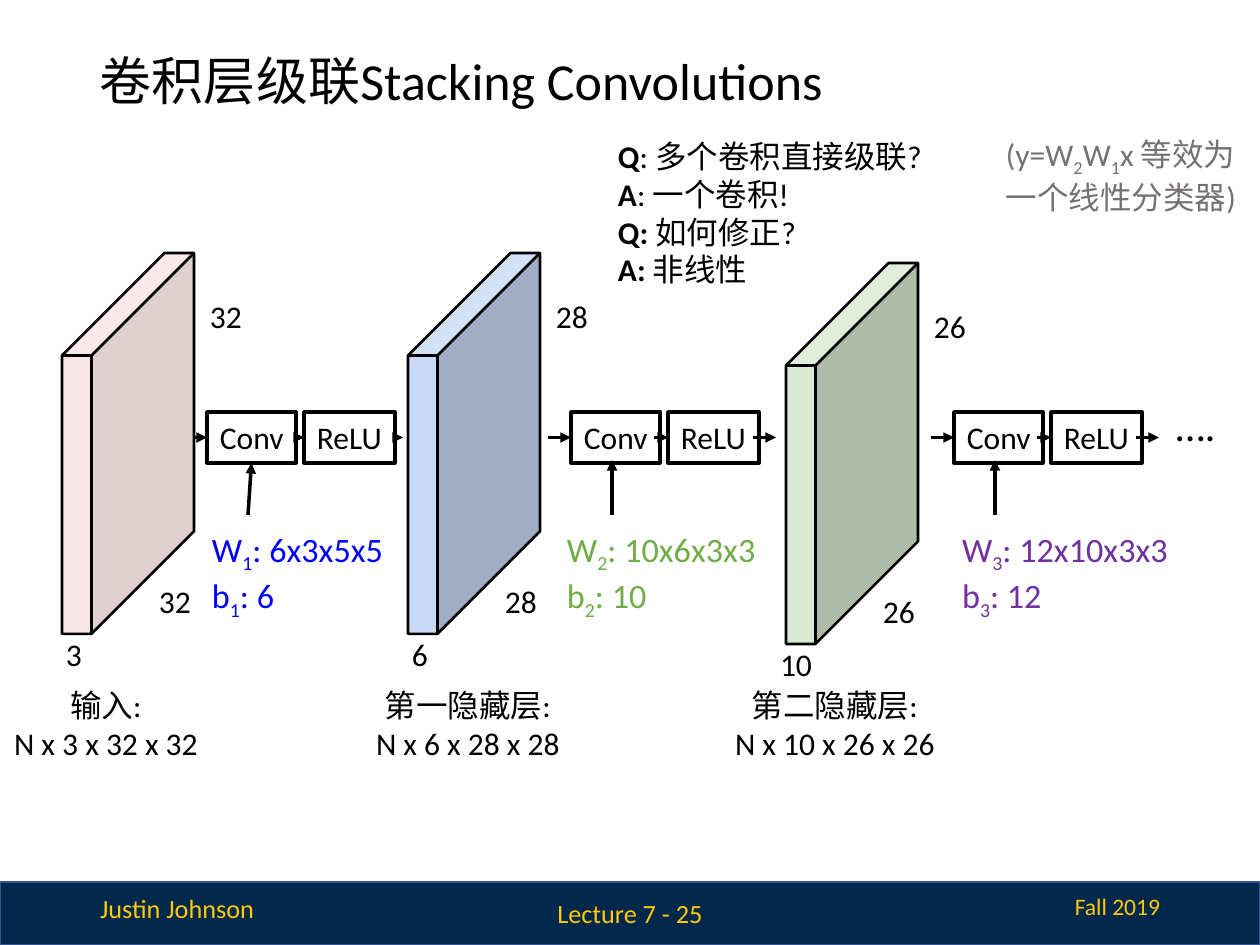
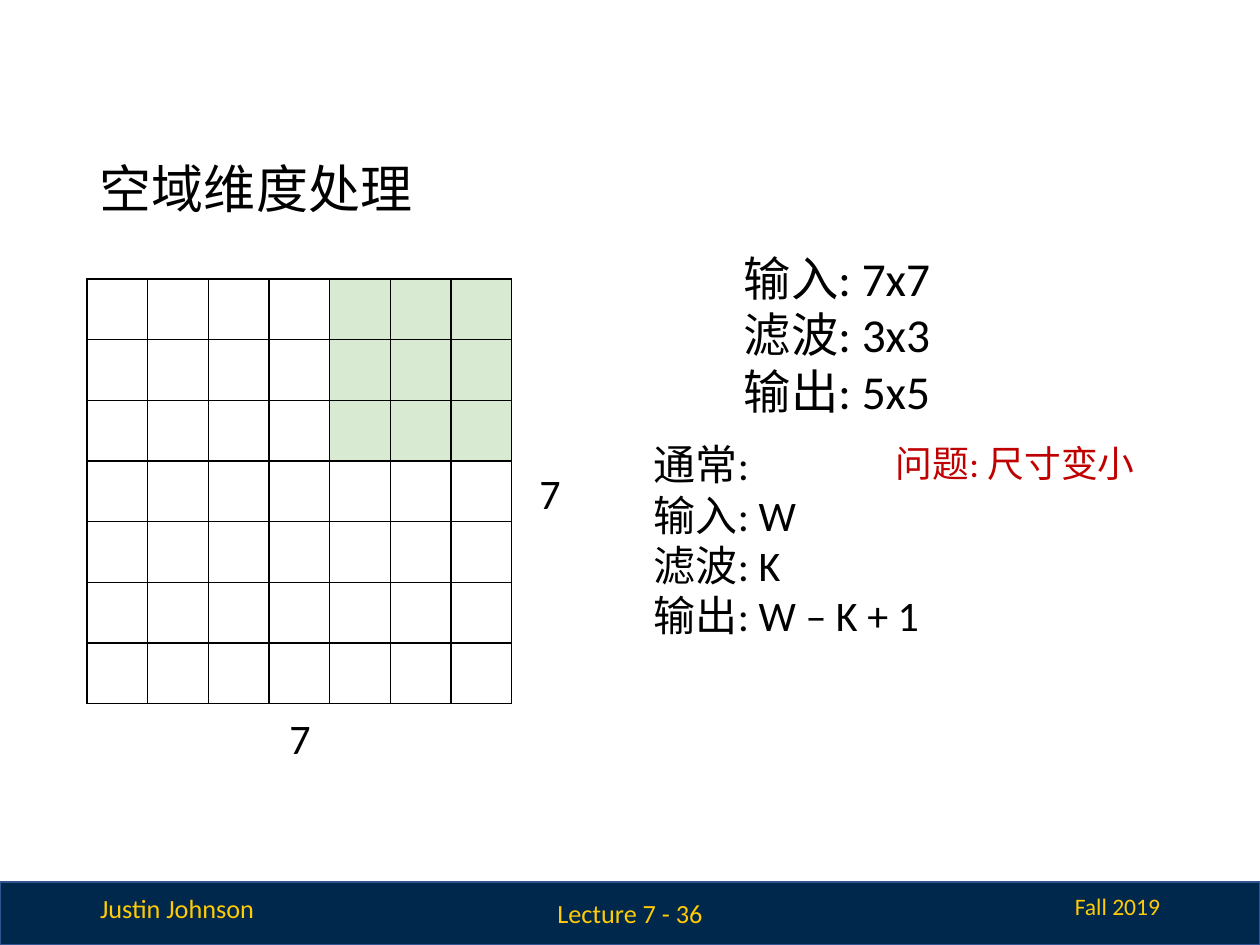
from lxml.etree import SubElement
from pptx import Presentation
from pptx.dml.color import RGBColor
from pptx.enum.shapes import MSO_CONNECTOR as LINE, MSO_SHAPE as SHAPE
from pptx.enum.text import MSO_ANCHOR as ANCHOR, PP_ALIGN as ALIGN
from pptx.oxml.ns import qn
from pptx.util import Emu, Pt

SCALE = 914400 / 126
FONT = "Calibri"
BLACK, NAVY, NAVY_EDGE, MAIZE = "000000", "00274C", "325491", "FFCB05"
PINK, BLUE, GREEN = "F4CCCC", "C9DAF8", "D9EAD3"
EVEN = (13, 13)
FLAT = (13, 6)


def px(n):
    """Turn px into EMU."""
    return Emu(round(n * SCALE))


def rgb(color):
    """Turn a hex string into a colour."""
    return RGBColor.from_string(color)


def add_runs(p, text):
    """Fill a paragraph, with *bold* and ~subscript~ marks."""
    for i, piece in enumerate(text.split("*")):
        for j, part in enumerate(piece.split("~")):
            if part:
                r = p.add_run()
                r.text = part
                if i % 2:
                    r.font.bold = True
                if j % 2:
                    r._r.get_or_add_rPr().set("baseline", "-25000")


def write(sp, lines, size, color=BLACK, align=ALIGN.LEFT, anchor=ANCHOR.TOP,
          inset=FLAT, wrap=True, spacing=None):
    """Write lines of text into a shape."""
    tf = sp.text_frame
    tf.word_wrap = wrap
    tf.vertical_anchor = anchor
    tf.margin_left = tf.margin_right = px(inset[0])
    tf.margin_top = tf.margin_bottom = px(inset[1])
    for i, line in enumerate(lines):
        p = tf.paragraphs[0] if i == 0 else tf.add_paragraph()
        add_runs(p, line)
        p.alignment = align
        if spacing:
            p.line_spacing = spacing
        p.font.name = FONT
        p.font.size = Pt(size)
        p.font.color.rgb = rgb(color)


def add_text(s, box, lines, size, color=BLACK, **style):
    """Add a text box."""
    write(s.shapes.add_textbox(*map(px, box)), lines, size, color, **style)


def add_block(s, kind, box, fill=None, line=BLACK, width=2.0):
    """Add a preset shape with a fill and an outline."""
    sp = s.shapes.add_shape(kind, *map(px, box))
    sp.shadow.inherit = False
    if fill:
        sp.fill.solid()
        sp.fill.fore_color.rgb = rgb(fill)
    else:
        sp.fill.background()
    sp.line.color.rgb = rgb(line)
    sp.line.width = Pt(width)
    return sp


def add_arrow(s, start, end, source=None, target=None):
    """Add an arrow; source and target are (shape, side) pairs to join."""
    c = s.shapes.add_connector(LINE.STRAIGHT, *map(px, start + end))
    if source:
        c.begin_connect(*source)
    if target:
        c.end_connect(*target)
    c.line.color.rgb = rgb(BLACK)
    c.line.width = Pt(2)
    SubElement(c.line._get_or_add_ln(), qn("a:tailEnd"), type="triangle")
    SubElement(c._element.spPr, qn("a:effectLst"))


def new_slide(prs, title, title_box, number):
    """Add a slide with its title and footer band."""
    s = prs.slides.add_slide(prs.slide_layouts[6])
    add_block(s, SHAPE.RECTANGLE, (0, 882, 1260, 63), NAVY, NAVY_EDGE, 1)
    add_text(s, (87, 886, 181, 44), ["Justin Johnson"], 15, MAIZE)
    add_text(s, (924, 886, 249, 42), ["Fall 2019"], 13.5, MAIZE, align=ALIGN.RIGHT)
    add_text(s, (460, 888, 340, 50), [f"Lecture 7 - {number}"], 15, MAIZE,
             align=ALIGN.CENTER, anchor=ANCHOR.MIDDLE)
    add_text(s, title_box, [title], 29.7, anchor=ANCHOR.MIDDLE, spacing=0.9)
    return s


def add_volume(s, x, y, fill, side, depth, depth_dx=-9, opacity=None):
    """Draw an activation volume with its three dimensions."""
    cube = add_block(s, SHAPE.CUBE, (x, y, 132, 381), fill, width=1.5)
    cube.adjustments[0] = 0.777
    if opacity:
        color = cube._element.spPr.find(qn("a:solidFill"))[0]
        SubElement(color, qn("a:alpha"), val=str(opacity * 1000))
    for text, dx, dy, h in ((side, 84, 316, 43), (side, 135, 31, 39),
                            (depth, depth_dx, 370, 25)):
        add_text(s, (x + dx, y + dy, 68, h), [text], 18, inset=EVEN)


def add_stage(s, x, lead, overlap, reach):
    """Draw a Conv and ReLU pair with the arrows around it."""
    top, h, conv_w, relu_w, relu_dx = 412, 51, 89, 91, 97
    mid, bottom = top + h / 2, top + h
    conv = add_block(s, SHAPE.RECTANGLE, (x, top, conv_w, h))
    relu = add_block(s, SHAPE.RECTANGLE, (x + relu_dx, top, relu_w, h))
    write(conv, ["Conv"], 18, wrap=False)
    write(relu, ["ReLU"], 18, wrap=False)
    snug = overlap == 0
    conv_end, relu_end = x + conv_w - overlap, x + relu_dx + relu_w - overlap
    add_arrow(s, (x - lead, mid), (x, mid), target=(conv, 1))
    add_arrow(s, (conv_end, mid), (x + relu_dx, mid), (conv, 3) if snug else None, (relu, 1))
    add_arrow(s, (relu_end, mid), (relu_end + reach, mid), (relu, 3) if snug else None)
    add_arrow(s, (x + 41, 515), (x + 44 - overlap // 2, bottom - overlap // 2),
              target=(conv, 2) if snug else None)


def stacking_slide(prs):
    """Build the slide on stacked convolutions."""
    s = new_slide(prs, "卷积层级联Stacking Convolutions", (87, 48, 908, 71), 25)
    add_volume(s, 62, 253, PINK, "32", "3", opacity=52)
    add_volume(s, 408, 253, BLUE, "28", "6")
    add_volume(s, 786, 263, GREEN, "26", "10", depth_dx=-19)
    for x, w, name, shape in ((0, 212, "输入:", "N x 3 x 32 x 32"),
                              (362, 212, "第一隐藏层:", "N x 6 x 28 x 28"),
                              (721, 228, "第二隐藏层:", "N x 10 x 26 x 26")):
        add_text(s, (x, 680, w, 89), [name, shape], 18, align=ALIGN.CENTER, wrap=False)
    weights = ((199, 200, "0000FF", "6x3x5x5", 6),
               (554, 215, "70AD47", "10x6x3x3", 10),
               (949, 236, "7030A0", "12x10x3x3", 12))
    for i, (x, w, color, kernel, bias) in enumerate(weights, 1):
        add_text(s, (x, 515, w, 108), [f"W~{i}~: {kernel}", f"b~{i}~: {bias}"],
                 19.5, color, inset=EVEN)
    for stage in ((207, 12, 0, 8), (571, 23, 6, 23), (954, 23, 6, 23)):
        add_stage(s, *stage)
    add_text(s, (1163, 387, 87, 79), ["…."], 24, inset=EVEN)
    add_text(s, (993, 129, 267, 89), ["(y=W~2~W~1~x 等效为一个线性分类器)"], 18, "767171")
    add_text(s, (605, 131, 435, 165),
             ["*Q*: 多个卷积直接级联?", "*A*: 一个卷积!", "*Q: *如何修正?", "*A: *非线性"], 18)


def style_cell(cell, fill):
    """Fill a grid cell and draw its four borders."""
    pr = cell._tc.get_or_add_tcPr()
    for side in ("lnL", "lnR", "lnT", "lnB"):
        ln = SubElement(pr, qn(f"a:{side}"), w=str(Pt(0.75)))
        SubElement(SubElement(ln, qn("a:solidFill")), qn("a:srgbClr"), val=BLACK)
    if fill:
        cell.fill.solid()
        cell.fill.fore_color.rgb = rgb(fill)
    else:
        cell.fill.background()


def add_input_grid(s, x, y, size, n, k):
    """Draw an n by n input with a k by k filter at its top right."""
    table = s.shapes.add_table(n, n, px(x), px(y), px(size), px(size)).table
    table.first_row = table.horz_banding = False
    for i in range(n):
        table.columns[i].width = table.rows[i].height = px(size / n)
        for j in range(n):
            style_cell(table.cell(i, j), GREEN if i < k and j >= n - k else None)
    for dx, dy in ((175, size + 2), (size, 182)):
        add_text(s, (x + dx, y + dy, 76, 63), [str(n)], 24, align=ALIGN.CENTER,
                 anchor=ANCHOR.MIDDLE, inset=EVEN)


def spatial_slide(prs):
    """Build the slide on spatial dimensions."""
    s = new_slide(prs, "空域维度处理", (87, 156, 796, 71), 36)
    add_input_grid(s, 87, 279, 425, 7, 3)
    add_text(s, (731, 236, 272, 188), ["输入: 7x7", "滤波: 3x3", "输出: 5x5"], 27, inset=EVEN)
    add_text(s, (641, 440, 452, 199), ["通常:", "输入: W", "滤波: K", "输出: W – K + 1"], 24,
             anchor=ANCHOR.MIDDLE, inset=EVEN)
    add_text(s, (883, 435, 291, 57), ["问题: 尺寸变小"], 21, "C00000")


def main():
    """Build the presentation."""
    prs = Presentation()
    prs.slide_width, prs.slide_height = px(1260), px(945)
    stacking_slide(prs)
    spatial_slide(prs)
    prs.save("out.pptx")


if __name__ == "__main__":
    main()
